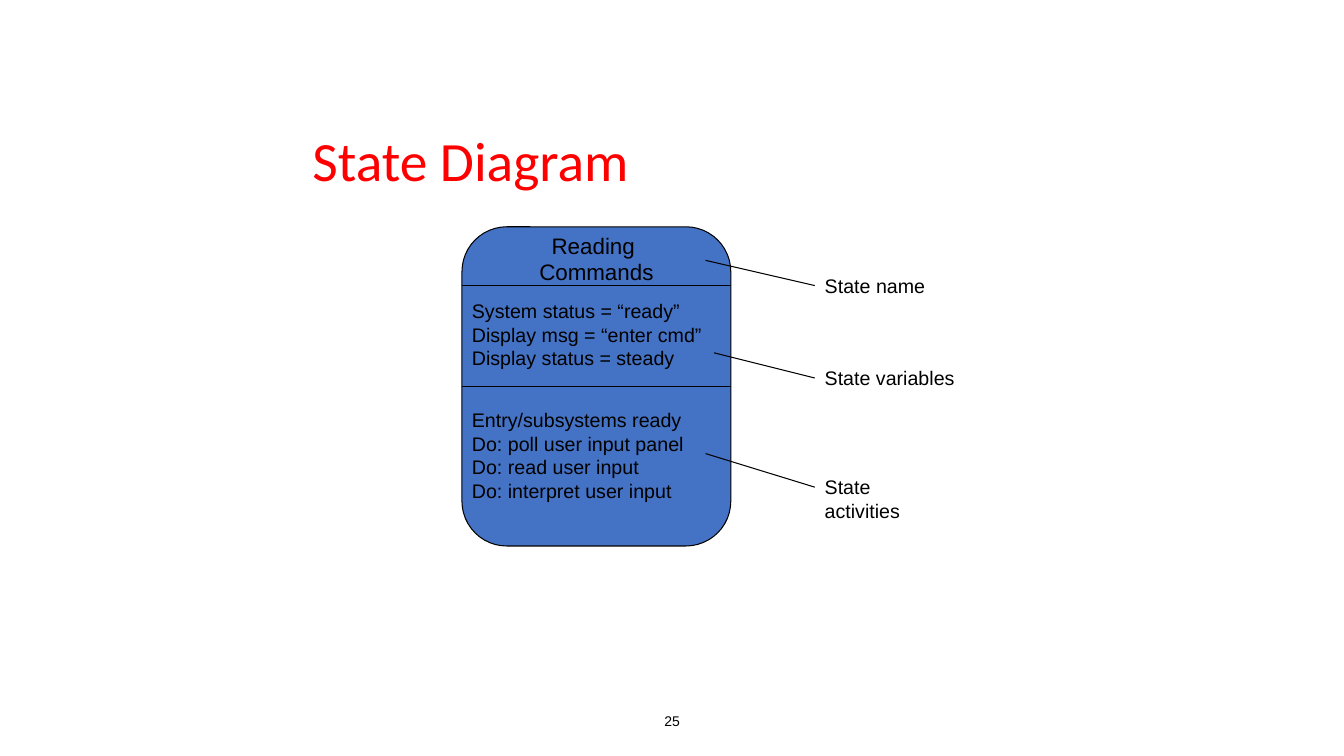
from lxml.etree import SubElement
from pptx import Presentation
from pptx.dml.color import RGBColor
from pptx.enum.shapes import MSO_CONNECTOR, MSO_SHAPE
from pptx.enum.text import MSO_ANCHOR, MSO_AUTO_SIZE, PP_ALIGN
from pptx.oxml.ns import qn
from pptx.util import Inches, Pt

COLUMNS, ROWS = 160, 90

presentation = Presentation()
presentation.slide_width = Inches(13.33)
presentation.slide_height = Inches(7.5)
column = presentation.slide_width / COLUMNS
row = presentation.slide_height / ROWS
slide = presentation.slides.add_slide(presentation.slide_layouts[5])


def color(value):
    return RGBColor.from_string(value)


def grid(left, top, *size):
    return [round(length * unit) for length, unit in zip((left, top, *size), (column, row) * 2)]


title = slide.shapes.title
title.left, title.top, title.width, title.height = grid(36, 15, 57, 9)
title.text_frame.text = "State Diagram"
title.text_frame.vertical_anchor = MSO_ANCHOR.MIDDLE
title_paragraph = title.text_frame.paragraphs[0]
title_paragraph.alignment = PP_ALIGN.LEFT
title_paragraph.line_spacing = 0.9
for name, value in {"name": "Calibri", "size": Pt(39.6)}.items():
    setattr(title_paragraph.font, name, value)
title_paragraph.font.color.rgb = color("FF0000")

state_left, state_top, state_width, state_height = 55, 27, 32, 38
state = slide.shapes.add_shape(
    MSO_SHAPE.ROUNDED_RECTANGLE, *grid(state_left, state_top, state_width, state_height)
)
state.adjustments[0] = 1 / 6
state.shadow.inherit = False
state.fill.solid()
state.fill.fore_color.rgb = color("4472C4")
state.line.color.rgb = color("000000")
state.line.width = Pt(0.75)

connectors = []
for divider_row in (34, 46):
    divider = slide.shapes.add_connector(
        MSO_CONNECTOR.STRAIGHT,
        *grid(state_left, divider_row),
        *grid(state_left + state_width, divider_row),
    )
    connectors.append(divider)
divider.begin_connect(state, 1)
divider.end_connect(state, 3)

name_format = {"size": Pt(16), "alignment": PP_ALIGN.CENTER, "wrap": True}
detail_format = {"size": Pt(14), "alignment": PP_ALIGN.LEFT, "wrap": True}
label_format = {**detail_format, "wrap": False}
number_format = {**name_format, "size": Pt(10), "anchor": MSO_ANCHOR.MIDDLE, "fit": MSO_AUTO_SIZE.NONE}

texts = [
    ((53, 83.4, 54, 4.8), ["25"], number_format),
    ((63, 27, 16, 7.7), ["Reading ", "Commands"], name_format),
    (
        (55, 35, 31, 9.7),
        ["System status = “ready”", "Display msg = “enter cmd”", "Display status = steady"],
        detail_format,
    ),
    (
        (55, 48, 31, 15.4),
        [
            "Entry/subsystems ready",
            "Do: poll user input panel",
            "Do: read user input",
            "Do: interpret user input",
        ],
        detail_format,
    ),
    ((97, 32, 14.4, 4), ["State name"], label_format),
    ((97, 43, 17.9, 4), ["State variables"], label_format),
    ((97, 56, 17.4, 4), ["State activities"], label_format),
]
text_boxes = []
for place, lines, style in texts:
    text_box = slide.shapes.add_textbox(*grid(*place))
    frame = text_box.text_frame
    frame.text = "\n".join(lines)
    frame_format = {
        "word_wrap": style["wrap"],
        "auto_size": style.get("fit", MSO_AUTO_SIZE.SHAPE_TO_FIT_TEXT),
        "vertical_anchor": style.get("anchor", MSO_ANCHOR.TOP),
    }
    for name, value in frame_format.items():
        setattr(frame, name, value)
    for paragraph in frame.paragraphs:
        paragraph.alignment = style["alignment"]
        for name, value in {"name": "Arial", "size": style["size"]}.items():
            setattr(paragraph.font, name, value)
        paragraph.font.color.rgb = color("000000")
    text_boxes.append(text_box)

for label, target in zip(text_boxes[-3:], [(84, 31), (85, 42), (84, 54)]):
    pointer = slide.shapes.add_connector(
        MSO_CONNECTOR.STRAIGHT, label.left, label.top + label.height // 2, *grid(*target)
    )
    pointer.begin_connect(label, 1)
    connectors.append(pointer)

for connector in connectors:
    connector.line.color.rgb = color("000000")
    connector.line.width = Pt(0.75)
    SubElement(connector._element.spPr, qn("a:effectLst"))

presentation.save("out.pptx")
